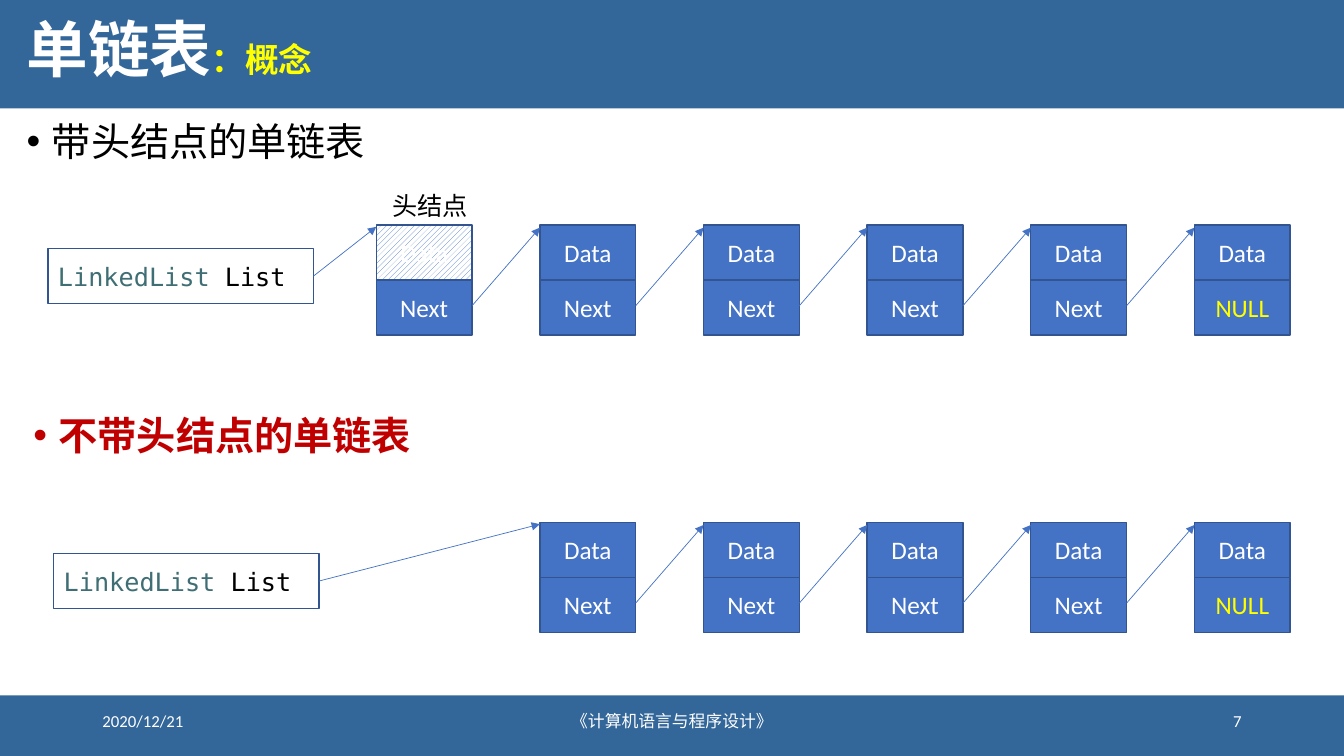
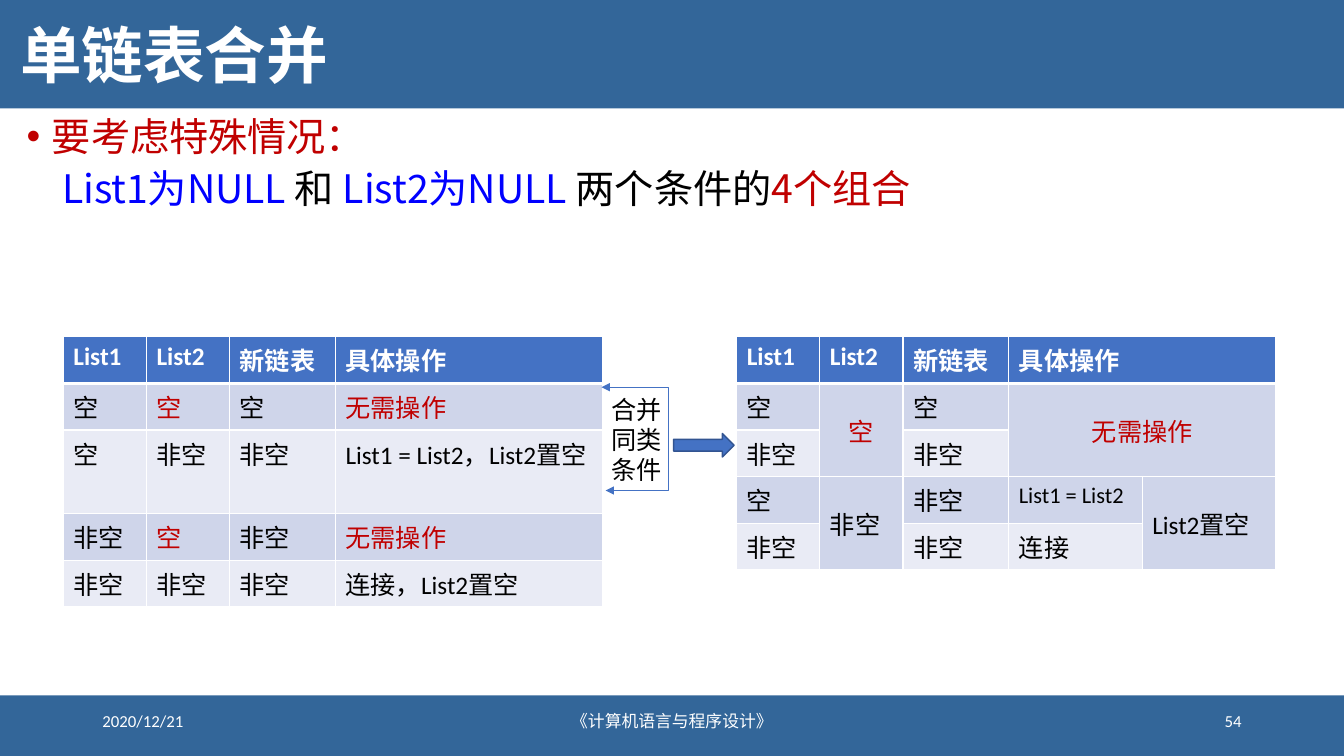
from itertools import pairwise, product

from lxml.etree import SubElement
from pptx import Presentation
from pptx.dml.color import RGBColor
from pptx.enum.dml import MSO_PATTERN
from pptx.enum.shapes import MSO_CONNECTOR, MSO_SHAPE
from pptx.enum.text import MSO_ANCHOR as Anchor, PP_ALIGN as Align
from pptx.oxml import parse_xml
from pptx.oxml.ns import nsdecls, qn
from pptx.util import Inches, Pt

SLIDE_WIDTH, SLIDE_HEIGHT = Inches(13.33), Inches(7.5)
COLUMNS, ROWS = 80, 45

WHITE = RGBColor(0xFF, 0xFF, 0xFF)
BLACK = RGBColor(0, 0, 0)
BAND_BLUE = RGBColor(0x33, 0x66, 0x99)
NODE_BLUE = RGBColor(0x44, 0x72, 0xC4)
OUTLINE_BLUE = RGBColor(0x32, 0x54, 0x91)
TEXT_BLUE = RGBColor(0, 0, 0xFF)
YELLOW = RGBColor(0xFF, 0xFF, 0)
RED = RGBColor(0xC0, 0, 0)
TYPE_GREEN = RGBColor(0x3F, 0x6E, 0x74)
ROW_TINTS = (RGBColor(0xE9, 0xEB, 0xF5), RGBColor(0xCF, 0xD5, 0xEA))

LATIN, CJK, MONO = "Calibri", "Noto Sans CJK SC", "DejaVu Sans Mono"

NODE_LEFT, NODE_PITCH = 22.4, 9.74
NODE_WIDTH, NODE_HEIGHT = 5.7, 3.27
NODE_COUNT = 6
POINTER_WIDTH = 15.8
LINE_ROW, TWO_LINE_ROW = 2.78, 4.98


def across(columns):
    return round(SLIDE_WIDTH * columns / COLUMNS)


def down(rows):
    return round(SLIDE_HEIGHT * rows / ROWS)


def grid_box(left, top, width, height):
    return across(left), down(top), across(width), down(height)


def node_left(index):
    return NODE_LEFT + index * NODE_PITCH


def style_run(run, size, color, font=LATIN, bold=False):
    run.font.size = Pt(size)
    run.font.color.rgb = color
    run.font.name = font
    run.font.bold = bold
    latin = run.font._element.find(qn("a:latin"))
    latin.addnext(parse_xml(f'<a:ea {nsdecls("a")} typeface="{CJK}"/>'))


def write(paragraph, pieces, size, font=LATIN, bold=False, align=Align.LEFT):
    """Fill a paragraph with (text, colour[, size]) pieces."""
    paragraph.alignment = align
    for text, color, *own_size in pieces:
        run = paragraph.add_run()
        run.text = text
        style_run(run, own_size[0] if own_size else size, color, font, bold)


def add_text(slide, box, pieces, size, anchor=Anchor.TOP, spacing=1.0, wrap=True, **style):
    text_frame = slide.shapes.add_textbox(*grid_box(*box)).text_frame
    text_frame.word_wrap = wrap
    text_frame.vertical_anchor = anchor
    paragraph = text_frame.paragraphs[0]
    paragraph.line_spacing = spacing
    write(paragraph, pieces, size, **style)
    return text_frame


def add_bullet(slide, box, text, color, spacing=0.9, bold=False):
    text_frame = add_text(slide, box, [], 28, spacing=spacing)
    paragraph = text_frame.paragraphs[0]
    properties = paragraph._p.get_or_add_pPr()
    properties.set("marL", str(Inches(0.25)))
    properties.set("indent", str(-Inches(0.25)))
    SubElement(properties, qn("a:buFont"), typeface="Arial")
    SubElement(properties, qn("a:buChar"), char="•")
    write(paragraph, [(text, color)], 28, CJK, bold)
    return text_frame


def add_box(slide, box, fill=None, outline=None, kind=MSO_SHAPE.RECTANGLE):
    shape = slide.shapes.add_shape(kind, *grid_box(*box))
    shape.shadow.inherit = False
    if fill is None:
        shape.fill.background()
    else:
        shape.fill.solid()
        shape.fill.fore_color.rgb = fill
    if outline is None:
        shape.line.fill.background()
    else:
        shape.line.color.rgb = outline
        shape.line.width = Pt(1)
    shape.text_frame.vertical_anchor = Anchor.MIDDLE
    return shape


def style_arrow(shape, *ends):
    shape.line.color.rgb = NODE_BLUE
    shape.line.width = Pt(0.5)
    outline = shape.element.spPr.find(qn("a:ln"))
    for end in ends:
        SubElement(outline, qn(f"a:{end}"), type="triangle")


def add_arrow(slide, start, end):
    connector = slide.shapes.add_connector(
        MSO_CONNECTOR.STRAIGHT, across(start[0]), down(start[1]), across(end[0]), down(end[1]))
    style_arrow(connector, "tailEnd")
    SubElement(connector.element.spPr, qn("a:effectLst"))


def add_bent_arrow(slide, points):
    """Draw an open path with an arrowhead at both ends."""
    start, *rest = [(across(x), down(y)) for x, y in points]
    builder = slide.shapes.build_freeform(*start)
    builder.add_line_segments(rest, close=False)
    shape = builder.convert_to_shape()
    shape.shadow.inherit = False
    shape.fill.background()
    style_arrow(shape, "headEnd", "tailEnd")


def add_frame(presentation, title_box, title, number):
    """Start a slide with the bands, title and footer that all slides share."""
    slide = presentation.slides.add_slide(presentation.slide_layouts[6])
    for top, height in ((0, 6.45), (41.4, 3.6)):
        add_box(slide, (0, top, COLUMNS, height), BAND_BLUE)
    add_text(slide, title_box, title, 44, Anchor.MIDDLE, 0.9, font=CJK, bold=True)
    footers = (
        (5.5, 18, "2020/12/21", Align.LEFT),
        (26.5, 27, "《计算机语言与程序设计》", Align.CENTER),
        (56.5, 18, number, Align.RIGHT),
    )
    for left, width, text, align in footers:
        add_text(slide, (left, 41.7, width, 2.4), [(text, WHITE)], 12, Anchor.MIDDLE, align=align)
    return slide


def add_node(slide, index, top, is_head):
    is_last = index == NODE_COUNT - 1
    link = ("NULL", YELLOW) if is_last else ("Next", WHITE)
    for row, piece in enumerate((("Data", WHITE), link)):
        box = (node_left(index), top + row * NODE_HEIGHT, NODE_WIDTH, NODE_HEIGHT)
        shape = add_box(slide, box, NODE_BLUE, OUTLINE_BLUE)
        write(shape.text_frame.paragraphs[0], [piece], 18, align=Align.CENTER)
        if is_head and row == 0:
            shape.fill.patterned()
            shape.fill.pattern = MSO_PATTERN.WIDE_UPWARD_DIAGONAL
            shape.fill.fore_color.rgb = NODE_BLUE
            shape.fill.back_color.rgb = WHITE


def add_linked_list(slide, top, first, pointer_left, pointer_top):
    """Draw the list variable and its nodes, from column `first` to the last."""
    indexes = range(first, NODE_COUNT)
    for index in indexes:
        add_node(slide, index, top, is_head=index == 0)
    for index, following in pairwise(indexes):
        add_arrow(slide, (node_left(index) + NODE_WIDTH, top + 4.8),
                  (node_left(following), top + 0.15))
    pointer = add_box(slide, (pointer_left, pointer_top, POINTER_WIDTH, NODE_HEIGHT),
                      outline=OUTLINE_BLUE)
    write(pointer.text_frame.paragraphs[0],
          [("LinkedList ", TYPE_GREEN), ("List", BLACK)], 18, MONO)
    add_arrow(slide, (pointer_left + POINTER_WIDTH, pointer_top + NODE_HEIGHT / 2),
              (node_left(first), top + 0.1))


def style_cell(cell, row):
    cell.fill.solid()
    cell.fill.fore_color.rgb = ROW_TINTS[row % 2] if row else NODE_BLUE
    properties = cell._tc.get_or_add_tcPr()
    for position, side in enumerate("LRTB"):
        thick = (row == 0 and side == "B") or (row == 1 and side == "T")
        properties.insert(position, parse_xml(
            f'<a:ln{side} {nsdecls("a")} w="{Pt(3 if thick else 1)}">'
            f'<a:solidFill><a:srgbClr val="{WHITE}"/></a:solidFill></a:ln{side}>'))


def add_case_table(slide, left, widths, rows, merges=(), small_texts=(), two_line_rows=()):
    """Add a table; merges are (first row, first column, last row, last column, alignment)."""
    heights = [TWO_LINE_ROW if row in two_line_rows else LINE_ROW for row in range(len(rows))]
    table = slide.shapes.add_table(
        len(rows), len(widths), *grid_box(left, 20.04, sum(widths), sum(heights))).table
    for column, width in zip(table.columns, widths):
        column.width = across(width)
    for table_row, height in zip(table.rows, heights):
        table_row.height = down(height)
    for row, column in product(range(len(rows)), range(len(widths))):
        cell, text = table.cell(row, column), rows[row][column]
        style_cell(cell, row)
        if not text:
            continue
        needs_nothing = text == "无需操作" or (column == 1 and text == "空")
        color = WHITE if row == 0 else RED if needs_nothing else BLACK
        size = 16 if text in small_texts else 18
        write(cell.text_frame.paragraphs[0], [(text, color)], size, bold=row == 0)
    for top, first, bottom, last, align in merges:
        cell = table.cell(top, first)
        cell.merge(table.cell(bottom, last))
        cell.text_frame.paragraphs[0].alignment = align
        if bottom > top:
            cell.vertical_anchor = Anchor.MIDDLE


def build_concept_slide(presentation):
    slide = add_frame(presentation, (1, 0, 77.2, 6.2),
                      [("单链表", WHITE), ("：概念", YELLOW, 24)], "7")
    add_bullet(slide, (1, 7, 77.2, 3.4), "带头结点的单链表", BLACK)
    add_bullet(slide, (1.4, 24.5, 77.2, 3.4), "不带头结点的单链表", RED, bold=True)
    add_linked_list(slide, 13.4, 0, 2.86, 14.8)
    add_linked_list(slide, 31.1, 1, 3.2, 32.95)
    add_text(slide, (22.75, 11.05, 5.75, 2.4), [("头结点", BLACK)], 18, wrap=False, font=CJK)


def build_merge_slide(presentation):
    slide = add_frame(presentation, (0.6, 0.75, 73.9, 5.5), [("单链表合并", WHITE)], "54")
    text_frame = add_bullet(slide, (1, 6.95, 77.2, 6.5), "要考虑特殊情况：", RED, 0.8)
    paragraph = text_frame.add_paragraph()
    paragraph.line_spacing = 0.8
    paragraph.space_before = Pt(10)
    paragraph._p.get_or_add_pPr().set("marL", str(Inches(0.35)))
    write(paragraph, [("List1为NULL ", TEXT_BLUE), ("和 ", BLACK), ("List2为NULL ", TEXT_BLUE),
                      ("两个条件的", BLACK), ("4个组合", RED)], 28, CJK)

    header = ("List1", "List2", "新链表", "具体操作")
    add_case_table(slide, 3.77, (4.95, 4.95, 6.3, 15.9), [
        header,
        ("空", "空", "空", "无需操作"),
        ("空", "非空", "非空", "List1 = List2，List2置空"),
        ("非空", "空", "非空", "无需操作"),
        ("非空", "非空", "非空", "连接，List2置空"),
    ], two_line_rows=(2,))
    add_case_table(slide, 43.85, (4.95, 4.95, 6.3, 7.95, 7.95), [
        (*header, ""),
        ("空", "空", "空", "无需操作", ""),
        ("非空", "", "非空", "", ""),
        ("空", "非空", "非空", "List1 = List2", "List2置空"),
        ("非空", "", "非空", "连接", ""),
    ], merges=(
        (0, 3, 0, 4, Align.LEFT),
        (1, 1, 2, 1, Align.CENTER),
        (1, 3, 2, 4, Align.CENTER),
        (3, 1, 4, 1, Align.LEFT),
        (3, 4, 4, 4, Align.LEFT),
    ), small_texts=("List1 = List2",))

    add_bent_arrow(slide, [(36.05, 29.2), (39.8, 29.2), (39.8, 23.05), (35.8, 23.05)])
    label = add_text(slide, (35.8, 23.15, 4.25, 6.05), [("合并", BLACK)], 18, wrap=False)
    for text in ("同类", "条件"):
        write(label.add_paragraph(), [(text, BLACK)], 18)
    add_box(slide, (40.1, 25.8, 3.6, 1.4), NODE_BLUE, OUTLINE_BLUE, MSO_SHAPE.RIGHT_ARROW)


def main():
    presentation = Presentation()
    presentation.slide_width, presentation.slide_height = SLIDE_WIDTH, SLIDE_HEIGHT
    build_concept_slide(presentation)
    build_merge_slide(presentation)
    presentation.save("out.pptx")


if __name__ == "__main__":
    main()
